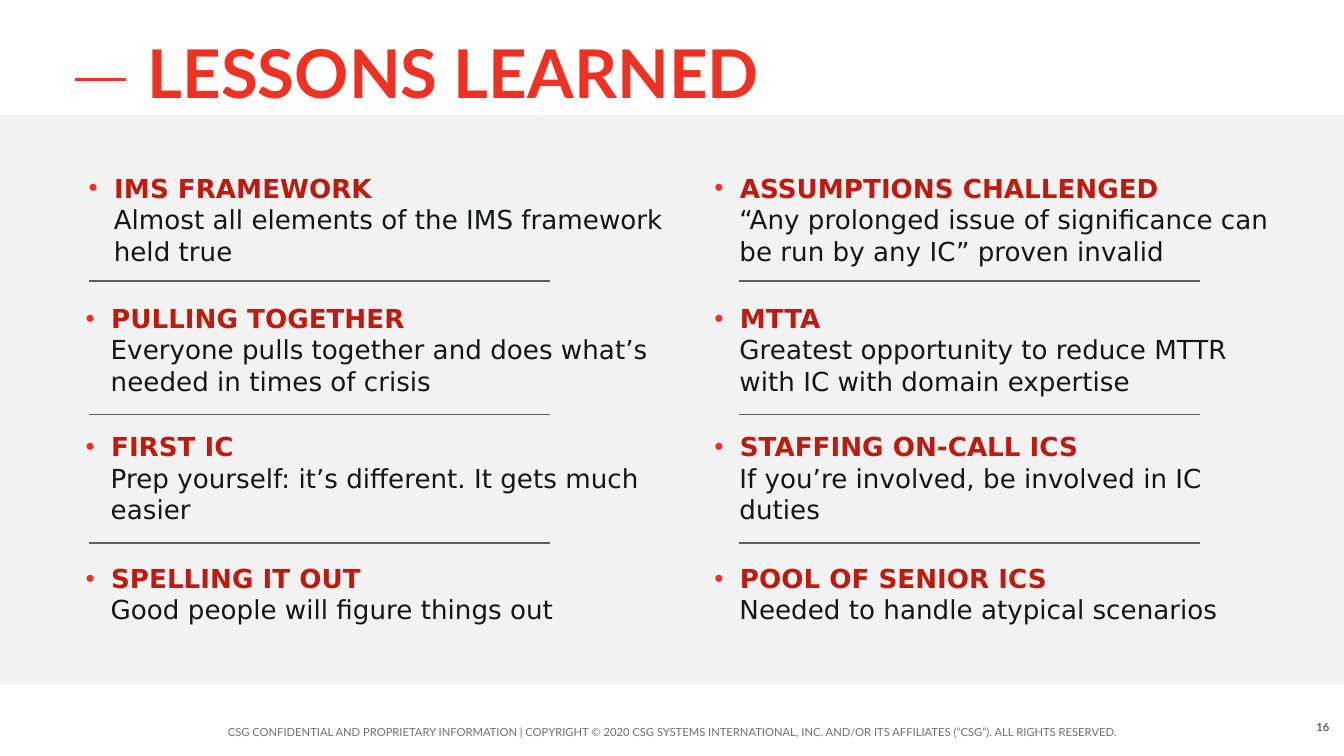
from lxml import etree
from pptx import Presentation
from pptx import util as u
from pptx.dml.color import RGBColor
from pptx.enum import shapes, text
from pptx.oxml.ns import qn

WHITE = RGBColor(0xFF, 0xFF, 0xFF)
PANEL = RGBColor(0xF2, 0xF2, 0xF2)
RED = RGBColor(0xED, 0x31, 0x23)
DARK_RED = RGBColor(0xBD, 0x1B, 0x0F)
INK = RGBColor(0x14, 0x16, 0x16)
RULE = RGBColor(0x5D, 0x5D, 0x5F)
NUMBER = RGBColor(0x5F, 0x60, 0x61)
FOOTER = RGBColor(0x70, 0x70, 0x75)

LESSONS = [
    [
        ("IMS FRAMEWORK", "Almost all elements of the IMS framework held true"),
        ("PULLING TOGETHER", "Everyone pulls together and does what’s needed in times of crisis"),
        ("FIRST IC", "Prep yourself: it’s different. It gets much easier"),
        ("SPELLING IT OUT", "Good people will figure things out"),
    ],
    [
        ("ASSUMPTIONS CHALLENGED",
         "“Any prolonged issue of significance can be run by any IC” proven invalid"),
        ("MTTA", "Greatest opportunity to reduce MTTR with IC with domain expertise"),
        ("STAFFING ON-CALL ICS", "If you’re involved, be involved in IC duties"),
        ("POOL OF SENIOR ICS", "Needed to handle atypical scenarios"),
    ],
]
HEADING_LEFTS = [[6.6, 6.37, 6.37, 6.37], [53.15] * 4]
HEADING_ROWS = [12.8, 22.5, 32.03, 41.84]
RULE_LEFTS = [6.6, 55]
RULE_ROWS = [20.9, 30.85, 40.4]


class Deck:
    """Draws styled elements on a slide grid of 100 columns by 56.25 rows."""

    heading_font = "Lato"
    body_font = "DejaVu Sans"
    bullet_font = "Arial"
    cell = u.Inches(0.1)
    indent = u.Inches(0.19)

    def __init__(self):
        self.presentation = Presentation()
        self.presentation.slide_width = self.at(100)
        self.presentation.slide_height = self.at(56.25)
        self.slide = self.presentation.slides.add_slide(self.presentation.slide_layouts[6])
        self.slide.background.fill.solid()
        self.slide.background.fill.fore_color.rgb = WHITE

    def at(self, cells):
        return u.Emu(round(cells * self.cell))

    def panel(self, left, top, width, height, color):
        shape = self.slide.shapes.add_shape(
            shapes.MSO_SHAPE.RECTANGLE, *map(self.at, (left, top, width, height)))
        shape.shadow.inherit = False
        shape.fill.solid()
        shape.fill.fore_color.rgb = color
        shape.line.fill.background()

    def rule(self, left, top, width, color, weight):
        line = self.slide.shapes.add_connector(
            shapes.MSO_CONNECTOR.STRAIGHT, *map(self.at, (left, top, left + width, top)))
        line.line.color.rgb = color
        line.line.width = u.Pt(weight)
        etree.SubElement(line._element.spPr, qn("a:effectLst"))

    def label(self, box, runs, size, font, bold=False, align=text.PP_ALIGN.LEFT,
              anchor=text.MSO_ANCHOR.TOP, inset=True, bullet=None):
        frame = self.slide.shapes.add_textbox(*map(self.at, box)).text_frame
        frame.word_wrap = True
        frame.vertical_anchor = anchor
        if not inset:
            frame.margin_left = frame.margin_right = frame.margin_top = frame.margin_bottom = 0
        paragraph = frame.paragraphs[0]
        paragraph.alignment = align
        if bullet:
            self.bullet(paragraph, bullet)
        paragraph.font.size = u.Pt(size)
        paragraph.font.name = font
        paragraph.font.bold = bold
        for words, color in runs:
            run = paragraph.add_run()
            run.text = words
            run.font.color.rgb = color

    def bullet(self, paragraph, color):
        properties = paragraph._p.get_or_add_pPr()
        properties.set("marL", str(self.indent))
        properties.set("indent", str(-self.indent))
        tint = etree.SubElement(properties, qn("a:buClr"))
        etree.SubElement(tint, qn("a:srgbClr"), val=str(color))
        etree.SubElement(properties, qn("a:buFont"), typeface=self.bullet_font)
        etree.SubElement(properties, qn("a:buChar"), char="•")

    def lesson(self, left, top, heading, body, lines):
        self.label((left, top, 38.2, 2.4), [(heading, DARK_RED)], 14, self.body_font,
                   bold=True, inset=False, bullet=RED)
        self.label((left + 1.87, top + 2.34, 40.9, 2.36 * lines), [(body, INK)], 14,
                   self.body_font, inset=False)


def main():
    deck = Deck()
    deck.label((0, 53.3, 100, 2.4), [
        ("CSG CONFIDENTIAL AND PROPRIETARY INFORMATION ", FOOTER),
        ("| ", RED),
        ("COPYRIGHT © 2020 CSG SYSTEMS INTERNATIONAL, INC. AND/OR ITS AFFILIATES (“CSG”). "
         "ALL RIGHTS RESERVED.", FOOTER),
    ], 6, deck.heading_font, align=text.PP_ALIGN.CENTER, anchor=text.MSO_ANCHOR.MIDDLE)
    deck.panel(0, 8.55, 100, 42.4, PANEL)
    deck.rule(5.6, 5.9, 3.8, RED, 1.75)
    deck.label((10, 1.87, 82.2, 7.1), [("LESSONS LEARNED", RED)], 36, deck.heading_font, bold=True)
    for lessons, lefts, rule_left in zip(LESSONS, HEADING_LEFTS, RULE_LEFTS):
        for (heading, body), left, top in zip(lessons, lefts, HEADING_ROWS):
            deck.lesson(left, top, heading, body, 1 if top == HEADING_ROWS[-1] else 2)
        for top in RULE_ROWS:
            deck.rule(rule_left, top, 34.3, RULE, 0.75)
    deck.label((77.4, 53.1, 22.5, 3), [("16", NUMBER)], 6, deck.heading_font, bold=True,
               align=text.PP_ALIGN.RIGHT)
    deck.presentation.save("out.pptx")


if __name__ == "__main__":
    main()
